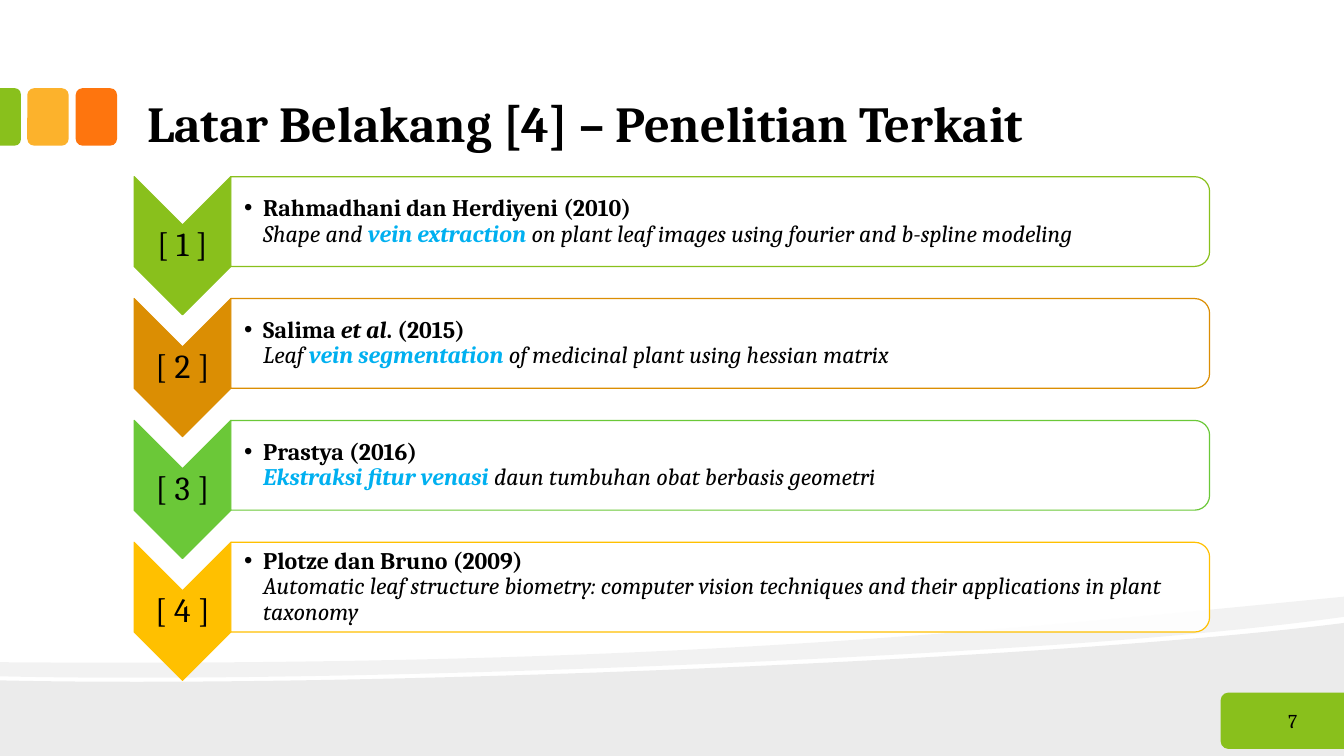
from lxml.etree import SubElement
from pptx import Presentation
from pptx.dml.color import RGBColor
from pptx.enum.shapes import MSO_SHAPE
from pptx.enum.text import MSO_ANCHOR, MSO_AUTO_SIZE, PP_ALIGN
from pptx.oxml.ns import qn
from pptx.util import Inches, Pt

WIDE, HIGH = Inches(13.33), Inches(7.5)
BLACK = RGBColor(0x00, 0x00, 0x00)
WHITE = RGBColor(0xFF, 0xFF, 0xFF)
BLUE = RGBColor(0x00, 0xB0, 0xF0)
LIME = RGBColor(0x89, 0xC0, 0x1C)
AMBER = RGBColor(0xFC, 0xB2, 0x2C)
FLAME = RGBColor(0xFE, 0x75, 0x0E)
OCHRE = RGBColor(0xDB, 0x8E, 0x03)
GREEN = RGBColor(0x6B, 0xC8, 0x38)
GOLD = RGBColor(0xFF, 0xC0, 0x00)

# Lengths are percent of the slide's width and height.
TOP, STEP = 23.37, 16.12
LEFT, SIDE = 9.98, 7.2
# Parts of one point are straight; parts of three are cubic curves.
WAVES = [
    (8, (100, 82.4), [
        [(100, 100)], [(0, 100)], [(0, 90)],
        [(26.41, 91.07), (78.17, 87.33), (100, 82.4)]]),
    (5, (100, 78.93), [
        [(100, 81.6)],
        [(94.15, 83.07), (86.2, 84.4), (77.19, 85.47)],
        [(52.36, 88.4), (19.35, 90.27), (0, 89.47)],
        [(0, 87.6)],
        [(48.91, 88.27), (72.84, 83.6), (100, 78.93)]]),
]

HEAD = {"bold": True, "italic": False}
TERM = {"bold": True, "italic": True}
WORK = {"bold": False, "italic": True}
KEY = {**TERM, "tint": BLUE}
PAPERS = [
    (LIME, [
        [("Rahmadhani dan Herdiyeni (2010)", HEAD)],
        [("Shape and ", WORK), ("vein extraction", KEY),
         (" on plant leaf images using fourier and b-spline modeling", WORK)]]),
    (OCHRE, [
        [("Salima ", HEAD), ("et al", TERM), (". (2015)", HEAD)],
        [("Leaf ", WORK), ("vein segmentation", KEY),
         (" of medicinal plant using hessian matrix", WORK)]]),
    (GREEN, [
        [("Prastya (2016)", HEAD)],
        [("Ekstraksi fitur venasi ", KEY),
         ("daun tumbuhan obat berbasis geometri", WORK)]]),
    (GOLD, [
        [("Plotze dan Bruno (2009)", HEAD)],
        [("Automatic leaf structure biometry: computer vision techniques "
          "and their applications in plant taxonomy", WORK)]]),
]


def apply(item, form):
    for name, value in form.items():
        setattr(item, name, value)


def across(part):
    return round(WIDE * part / 100)


def down(part):
    return round(HIGH * part / 100)


def scale(x, y, w, h):
    return across(x), down(y), across(w), down(h)


def place(shape, area):
    apply(shape, dict(zip(("left", "top", "width", "height"), scale(*area))))


def paint(shape, color, alpha=100, edge=None):
    shape.shadow.inherit = False
    shape.fill.solid()
    shape.fill.fore_color.rgb = color
    if alpha < 100:
        tone = shape.element.spPr.find(".//" + qn("a:srgbClr"))
        SubElement(tone, qn("a:alpha"), val=str(alpha * 1000))
    if edge is None:
        shape.line.fill.background()
    else:
        shape.line.color.rgb = edge
        shape.line.width = Pt(0.85)


def add_block(slide, kind, area, turn=0, adjust=()):
    """Add a shape that fills the area once it is turned."""
    x, y, w, h = scale(*area)
    if turn:
        x, y, w, h = x + (w - h) // 2, y + (h - w) // 2, h, w
    block = slide.shapes.add_shape(kind, x, y, w, h)
    block.rotation = turn
    for index, value in enumerate(adjust):
        block.adjustments[index] = value
    return block


def bend(shape, parts):
    """Join the segments of each three-point part into one cubic curve."""
    nodes = iter(list(shape.element.iter(qn("a:lnTo"))))
    for part in parts:
        first, *rest = [next(nodes) for _ in part]
        if rest:
            first.tag = qn("a:cubicBezTo")
        for node in rest:
            first.append(node[0])
            node.getparent().remove(node)


def add_wave(slide, alpha, start, parts):
    pen = slide.shapes.build_freeform(across(start[0]), down(start[1]))
    pen.add_line_segments(
        [(across(x), down(y)) for part in parts for x, y in part])
    wave = pen.convert_to_shape()
    bend(wave, parts)
    paint(wave, BLACK, alpha)


def set_frame(shape, insets, anchor=MSO_ANCHOR.MIDDLE):
    frame = shape.text_frame
    left, top, right, base = map(Inches, insets)
    apply(frame, {
        "word_wrap": True, "auto_size": MSO_AUTO_SIZE.NONE,
        "vertical_anchor": anchor, "margin_left": left, "margin_top": top,
        "margin_right": right, "margin_bottom": base})
    return frame.paragraphs[0]


def add_run(para, text, size, tint=BLACK, **form):
    run = para.add_run()
    run.text = text
    apply(run.font, {"name": "Cambria", "size": Pt(size), **form})
    run.font.color.rgb = tint


def add_label(slide, text, area, size, insets, **form):
    label = slide.shapes.add_textbox(*scale(*area))
    para = set_frame(label, insets)
    apply(para, form)
    add_run(para, text, size)


def fill_list(holder, area, lines):
    """Put one bulleted paper in a body placeholder, above its card."""
    holder.element.getparent().append(holder.element)
    place(holder, area)
    para = set_frame(holder, (0.13, 0.01, 0.01, 0.01))
    apply(para, {"level": 1, "alignment": PP_ALIGN.LEFT, "line_spacing": 0.9,
                 "space_before": Pt(0), "space_after": Pt(0)})
    props = para._p.get_or_add_pPr()
    props.set("marL", str(Inches(0.19)))
    props.set("indent", str(-Inches(0.19)))
    SubElement(props, qn("a:buChar"), char="•")
    for index, line in enumerate(lines):
        if index:
            para.add_line_break()
        for text, form in line:
            add_run(para, text, 17, **form)


def add_paper(slide, index, holder, color, lines):
    y = TOP + index * STEP
    arrow = add_block(slide, MSO_SHAPE.CHEVRON, (LEFT, y, SIDE, 18.27), 90)
    paint(arrow, color, edge=color)
    add_label(slide, f"[ {index + 1} ]", (LEFT, y + 6.4, SIDE, 5.47), 24,
              [0.02] * 4, alignment=PP_ALIGN.CENTER, line_spacing=0.9)
    card = add_block(slide, MSO_SHAPE.ROUND_2_SAME_RECTANGLE,
                     (LEFT + SIDE, y, 72.82, 11.87), 90)
    paint(card, WHITE, 90, color)
    fill_list(holder, (LEFT + SIDE, y + 0.6, 72.47, 10.67), lines)


def add_decor(slide):
    for wave in WAVES:
        add_wave(slide, *wave)
    for x, color in ((5.63, FLAME), (2.03, AMBER)):
        tile = add_block(slide, MSO_SHAPE.ROUNDED_RECTANGLE,
                         (x, 11.67, 3.08, 7.6))
        paint(tile, color)
    for area, turn, curl in (((0, 11.67, 1.55, 7.6), 90, 0.29),
                             ((90.82, 91.6, 9.18, 7.47), 270, 0.14)):
        tab = add_block(slide, MSO_SHAPE.ROUND_2_SAME_RECTANGLE,
                        area, turn, (curl, 0))
        paint(tab, LIME)


def main():
    deck = Presentation()
    apply(deck, {"slide_width": WIDE, "slide_height": HIGH})
    slide = deck.slides.add_slide(deck.slide_layouts.get_by_name("Comparison"))
    title, *lists = slide.placeholders
    add_decor(slide)
    title.element.getparent().append(title.element)
    place(title, (LEFT, 2.15, 79.97, 18.93))
    para = set_frame(title, (0.13, 0.07, 0.13, 0.07), MSO_ANCHOR.BOTTOM)
    para.alignment = PP_ALIGN.LEFT
    add_run(para, "Latar Belakang [4] – Penelitian Terkait", 36, bold=True)
    for index, (holder, paper) in enumerate(zip(lists, PAPERS)):
        add_paper(slide, index, holder, *paper)
    add_label(slide, "7", (90.82, 94, 6.68, 2.67), 14,
              (0.13, 0.07, 0.13, 0.07), alignment=PP_ALIGN.RIGHT)
    deck.save("out.pptx")


if __name__ == "__main__":
    main()
